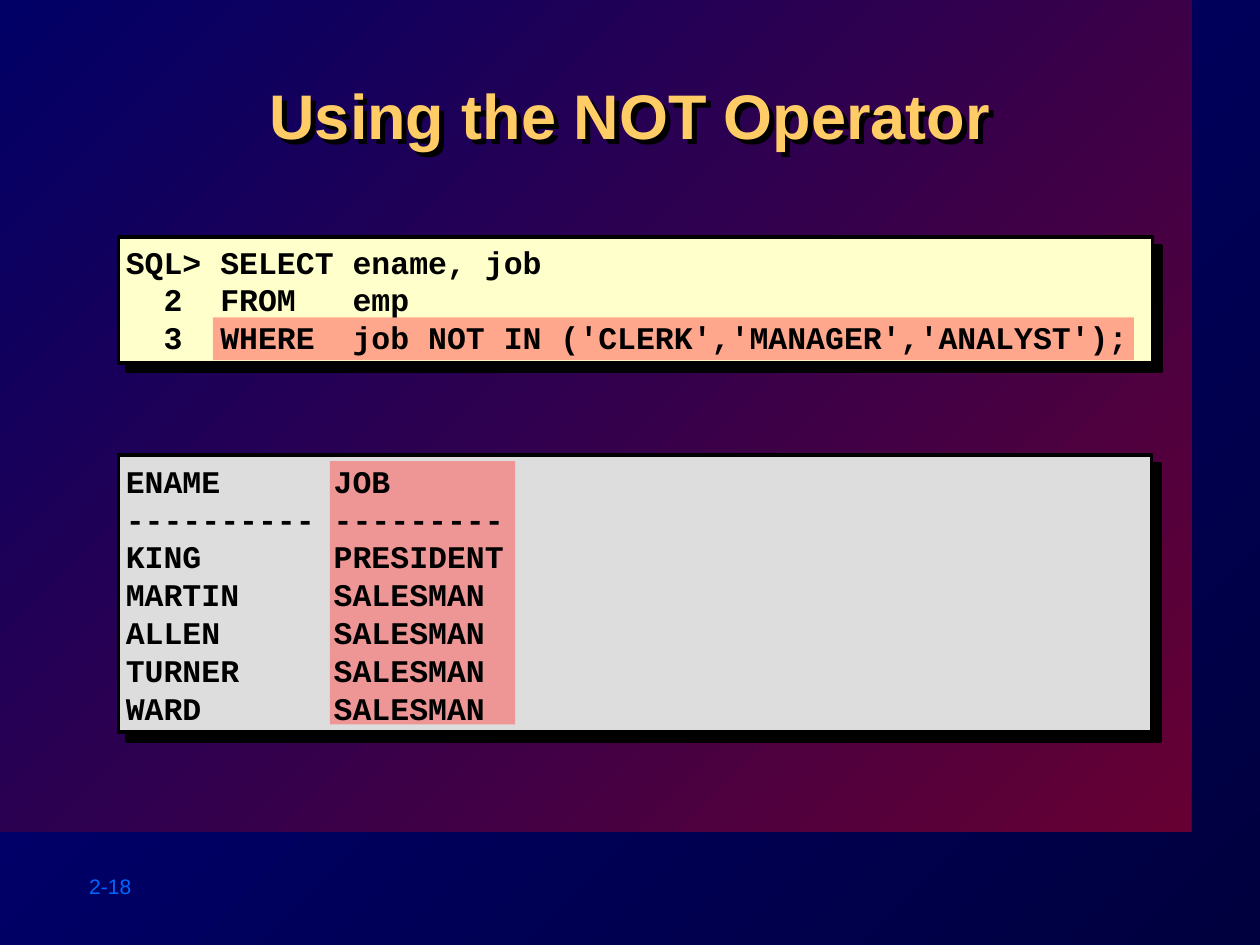
from lxml import etree
from pptx import Presentation
from pptx.dml.color import RGBColor
from pptx.enum.shapes import MSO_SHAPE as Shape
from pptx.enum.text import MSO_ANCHOR as Anchor, PP_ALIGN as Align
from pptx.oxml.ns import qn
from pptx.util import Pt

TITLE = "Using the NOT Operator"
PAGE = "2-18"
QUERY = [
    "SQL> SELECT ename, job",
    "  2  FROM   emp",
    "  3  WHERE  job NOT IN ('CLERK','MANAGER','ANALYST');",
]
RESULT = [
    "ENAME      JOB",
    "---------- ---------",
    "KING       PRESIDENT",
    "MARTIN     SALESMAN",
    "ALLEN      SALESMAN",
    "TURNER     SALESMAN",
    "WARD       SALESMAN",
]
PANELS = [
    ((67.7, 135.4, 591, 72), "FFFFCC"),
    ((67.7, 260, 590.4, 158.4), "DDDDDD"),
]
HIGHLIGHTS = [(121.7, 181.4, 526.3, 24.5), (188.6, 263.5, 105.8, 150.5)]
LISTINGS = [
    ((64.8, 133.9, 593.3, 74.2), QUERY),
    ((64.8, 259.2, 592.6, 160.6), RESULT),
]


def color(value):
    return RGBColor.from_string(value)


def set_gradient(fill, start, end):
    fill.gradient()
    fill.gradient_angle = 135
    for stop, value in zip(fill.gradient_stops, (start, end)):
        stop.color.rgb = color(value)


def add_shadow(shape, distance):
    shape.shadow.inherit = False
    effects = shape._element.spPr.find(qn("a:effectLst"))
    shadow = etree.SubElement(effects, qn("a:outerShdw"), dist=str(Pt(distance)),
                              dir="2700000", algn="ctr", rotWithShape="0")
    etree.SubElement(shadow, qn("a:srgbClr"), val="000000")


def add_rectangle(slide, box):
    shape = slide.shapes.add_shape(Shape.RECTANGLE, *map(Pt, box))
    shape.shadow.inherit = False
    shape.line.fill.background()
    return shape


def add_text(slide, box, lines, font, size, value, bold=False, align=Align.LEFT,
             anchor=Anchor.TOP, wrap=False, pitch=None):
    shape = slide.shapes.add_textbox(*map(Pt, box))
    frame = shape.text_frame
    frame.text = "\n".join(lines)
    frame.word_wrap = wrap
    frame.vertical_anchor = anchor
    for paragraph in frame.paragraphs:
        paragraph.alignment = align
        paragraph.line_spacing = pitch
        for run in paragraph.runs:
            run.font.name = font
            run.font.size = Pt(size)
            run.font.bold = bold
            run.font.color.rgb = color(value)
    return shape


def main():
    presentation = Presentation()
    presentation.slide_width, presentation.slide_height = Pt(720), Pt(540)
    slide = presentation.slides.add_slide(presentation.slide_layouts[6])
    set_gradient(slide.background.fill, "00003F", "000080")

    backdrop = add_rectangle(slide, (0, 0, 681, 475.2))
    set_gradient(backdrop.fill, "660033", "000066")
    add_text(slide, (43.9, 495.4, 79.9, 21.6), [PAGE], "Arial", 12, "0066FF")

    for box, value in PANELS:
        panel = add_rectangle(slide, box)
        panel.fill.solid()
        panel.fill.fore_color.rgb = color(value)
        panel.line.color.rgb = color("000000")
        panel.line.width = Pt(2)
        add_shadow(panel, 7.1)

    title = add_text(slide, (72.7, 40.3, 574.6, 69.1), [TITLE], "Arial", 36, "FFCC66",
                     bold=True, align=Align.CENTER, wrap=True)
    add_shadow(title, 4)

    for box in HIGHLIGHTS:
        highlight = add_rectangle(slide, box)
        highlight.fill.solid()
        highlight.fill.fore_color.rgb = color("FF5050")
        tint = highlight._element.spPr.find(".//" + qn("a:srgbClr"))
        etree.SubElement(tint, qn("a:alpha"), val="50000")

    for box, lines in LISTINGS:
        add_text(slide, box, lines, "Courier New", 18, "000000", bold=True,
                 anchor=Anchor.MIDDLE, pitch=Pt(21.6))

    presentation.save("out.pptx")


if __name__ == "__main__":
    main()
